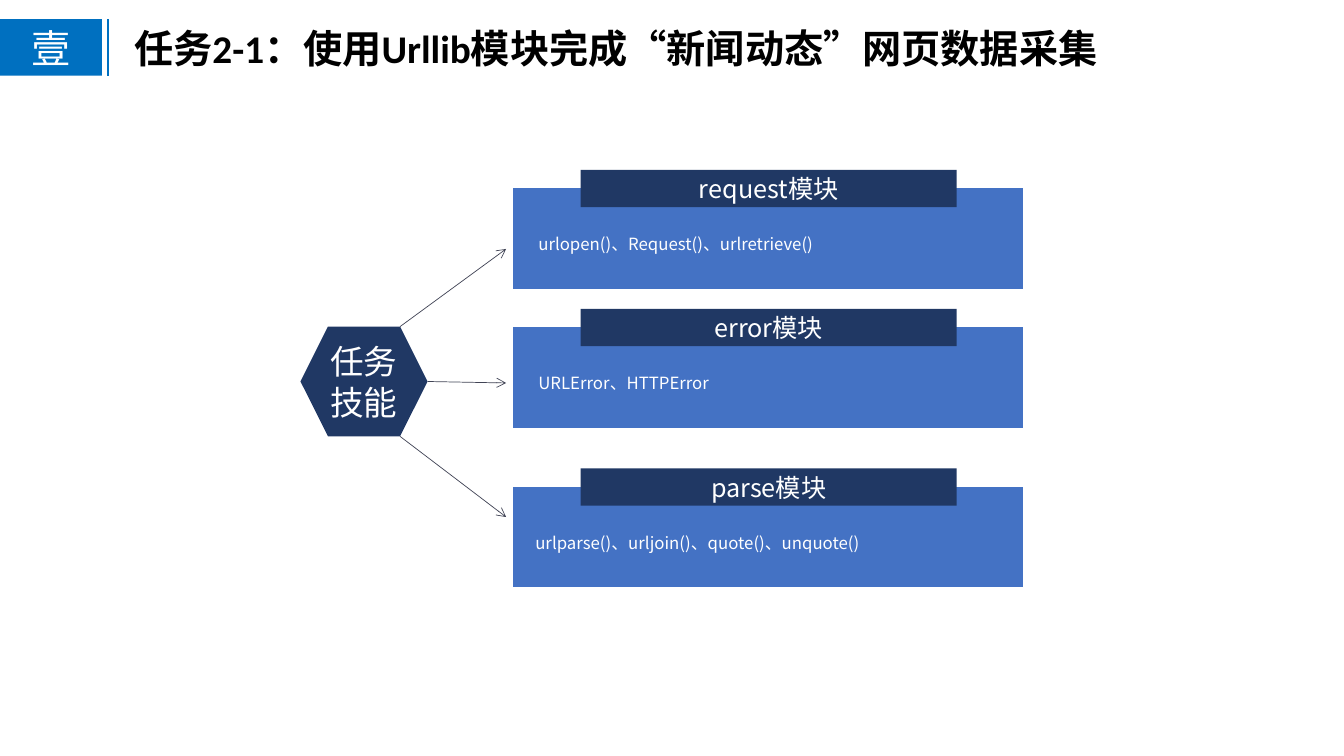
from typing import Any, NamedTuple

from lxml import etree
from pptx import Presentation
from pptx import util as u
from pptx.dml.color import RGBColor
from pptx.enum import shapes, text
from pptx.oxml.ns import qn

WHITE = RGBColor(0xFF, 0xFF, 0xFF)
BLACK = RGBColor(0x00, 0x00, 0x00)
BADGE_BLUE = RGBColor(0x00, 0x70, 0xC0)
PANEL_BLUE = RGBColor(0x44, 0x72, 0xC4)
NAVY = RGBColor(0x20, 0x38, 0x64)
ARROW_GREY = RGBColor(0x41, 0x44, 0x55)
CJK_FONT = "Noto Sans CJK SC"

# The grid has 100 columns and 100 rows.
SLIDE_WIDTH, SLIDE_HEIGHT = u.Inches(13.33), u.Inches(7.5)


class Box(NamedTuple):
    column: float
    row: float
    columns: float
    rows: float


class Module(NamedTuple):
    name: str
    members: str
    row: float
    text_column: float = 39.46


MODULES = (
    Module("request模块", "urlopen()、Request()、urlretrieve()", 24.8),
    Module("error模块", "URLError、HTTPError", 43.2),
    Module("parse模块", "urlparse()、urljoin()、quote()、unquote()", 64.27, 39.23),
)
TITLE = Box(9.23, 2.53, 74.57, 7.6)
BADGE = Box(0, 2.53, 7.58, 7.47)
HEXAGON = Box(22.36, 43.2, 9.45, 14.53)
HEXAGON_SLANT = 2.04
DIVIDER_COLUMN = 8.03
ARROW_END_COLUMN = 37.66
ARROW_END_ROW, ARROW_END_STEP = 32.93, 17.73


def x(columns: float) -> int:
    return round(SLIDE_WIDTH * columns / 100)


def y(rows: float) -> int:
    return round(SLIDE_HEIGHT * rows / 100)


def edges(box: Box) -> tuple[int, int, int, int]:
    return x(box.column), y(box.row), x(box.columns), y(box.rows)


def set_all(target: Any, values: dict[str, Any]) -> None:
    for name, value in values.items():
        setattr(target, name, value)


def write(shape: Any, words: str, size: float, color: RGBColor = WHITE,
          font: str = CJK_FONT, bold: bool = False,
          align: text.PP_ALIGN = text.PP_ALIGN.CENTER,
          anchor: text.MSO_ANCHOR = text.MSO_ANCHOR.MIDDLE,
          inset: tuple[float, float] = (0.08, 0.04), spacing: float = 1.0) -> None:
    """Fill a shape with one formatted paragraph; inset is horizontal, vertical."""
    frame = shape.text_frame
    side, end = (u.Inches(length) for length in inset)
    set_all(frame, {
        "word_wrap": True, "auto_size": text.MSO_AUTO_SIZE.NONE,
        "vertical_anchor": anchor, "margin_left": side, "margin_right": side,
        "margin_top": end, "margin_bottom": end,
    })
    paragraph = frame.paragraphs[0]
    set_all(paragraph, {"alignment": align, "line_spacing": spacing})
    run = paragraph.add_run()
    run.text = words
    set_all(run.font, {"name": font, "size": u.Pt(size), "bold": bold})
    run.font.color.rgb = color
    if font == CJK_FONT:
        east_asian = etree.SubElement(run.font._element, qn("a:ea"))
        east_asian.set("typeface", font)


def add_filled(slide: Any, kind: shapes.MSO_SHAPE, box: Box, fill: RGBColor,
               outline: RGBColor | None = None) -> Any:
    shape = slide.shapes.add_shape(kind, *edges(box))
    shape.shadow.inherit = False
    shape.fill.solid()
    shape.fill.fore_color.rgb = fill
    if outline is None:
        shape.line.fill.background()
    else:
        shape.line.color.rgb = outline
        shape.line.width = u.Pt(1)
    return shape


def add_line(slide: Any, start: tuple[float, float], end: tuple[float, float],
             color: RGBColor, width: float, arrow: bool = False) -> None:
    connector = slide.shapes.add_connector(
        shapes.MSO_CONNECTOR.STRAIGHT, x(start[0]), y(start[1]), x(end[0]), y(end[1]))
    connector.line.color.rgb = color
    connector.line.width = u.Pt(width)
    if arrow:
        etree.SubElement(connector.line._get_or_add_ln(), qn("a:tailEnd"), type="arrow")
    etree.SubElement(connector._element.spPr, qn("a:effectLst"))


def add_header(slide: Any) -> None:
    title = slide.shapes.title
    set_all(title, dict(zip(("left", "top", "width", "height"), edges(TITLE))))
    write(title, "任务2-1：使用Urllib模块完成“新闻动态”网页数据采集", 28, BLACK,
          "Calibri", True, text.PP_ALIGN.LEFT, text.MSO_ANCHOR.TOP, (0.1, 0.05))
    badge = add_filled(slide, shapes.MSO_SHAPE.RECTANGLE, BADGE, BADGE_BLUE)
    write(badge, "壹", 28, inset=(0.03, 0.03))
    add_line(slide, (DIVIDER_COLUMN, BADGE.row),
             (DIVIDER_COLUMN, BADGE.row + BADGE.rows), BADGE_BLUE, 1)


def add_skill_hub(slide: Any) -> None:
    """Draw the hexagon and its arrows to the three modules."""
    hexagon = add_filled(slide, shapes.MSO_SHAPE.HEXAGON, HEXAGON, NAVY)
    write(hexagon, "任务技能", 24)
    right = HEXAGON.column + HEXAGON.columns
    for index, slant in enumerate((HEXAGON_SLANT, 0, HEXAGON_SLANT)):
        start = (right - slant, HEXAGON.row + HEXAGON.rows * index / 2)
        end = (ARROW_END_COLUMN, ARROW_END_ROW + ARROW_END_STEP * index)
        add_line(slide, start, end, ARROW_GREY, 0.5, arrow=True)


def add_module(slide: Any, module: Module) -> None:
    rectangle = shapes.MSO_SHAPE.RECTANGLE
    add_filled(slide, rectangle, Box(38.11, module.row, 38.03, 13.47), PANEL_BLUE, WHITE)
    banner = add_filled(slide, rectangle, Box(43.21, module.row - 2.33, 27.98, 4.93), NAVY)
    write(banner, module.name, 18)
    members = slide.shapes.add_textbox(
        *edges(Box(module.text_column, module.row + 4.27, 36.16, 5.07)))
    write(members, module.members, 12, align=text.PP_ALIGN.JUSTIFY,
          anchor=text.MSO_ANCHOR.TOP, spacing=1.5)


def main() -> None:
    presentation = Presentation()
    set_all(presentation, {"slide_width": SLIDE_WIDTH, "slide_height": SLIDE_HEIGHT})
    slide = presentation.slides.add_slide(presentation.slide_layouts.get_by_name("Title Only"))
    add_header(slide)
    add_skill_hub(slide)
    for module in MODULES:
        add_module(slide, module)
    presentation.save("out.pptx")


if __name__ == "__main__":
    main()
